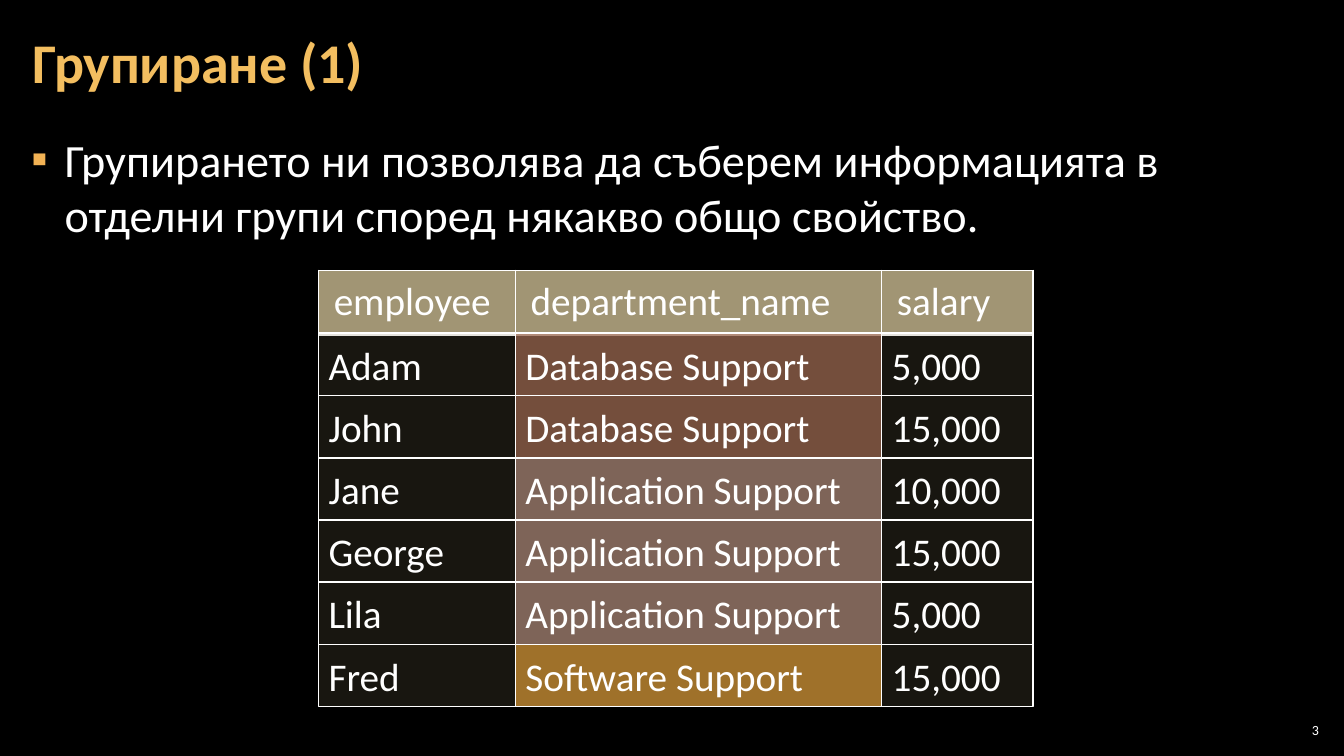
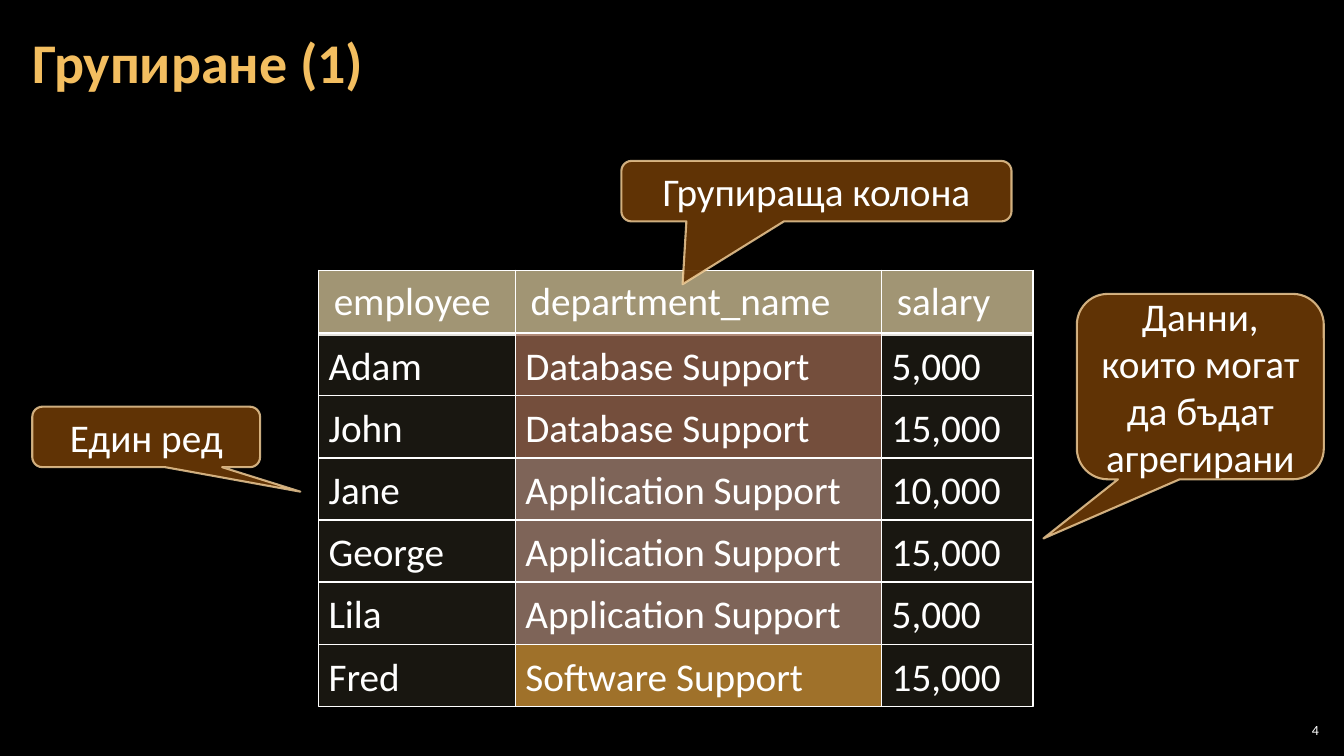
from lxml.etree import SubElement
from pptx import Presentation
from pptx.dml.color import RGBColor
from pptx.enum.shapes import MSO_SHAPE
from pptx.enum.text import MSO_ANCHOR, MSO_AUTO_SIZE, PP_ALIGN
from pptx.oxml import parse_xml
from pptx.oxml.ns import nsdecls, qn
from pptx.util import Inches, Pt

COLORS = {
    "back": "000000", "text": "FFFFFF", "title": "F3BE60", "bullet": "F2B254",
    "header": "A19574", "cell": "7C7154", "solid cell": "191711",
    "callout": "663606", "edge": "F8D49E",
    "Database": "A5644E", "Application": "B58B80", "Software": "F0A22E",
}
TITLE = "Групиране (1)"
BODY = "Групирането ни позволява да съберем информацията в отделни групи според някакво общо свойство."
HEADER = ("employee", "department_name", "salary")
ROWS = [
    ("Adam", "Database Support", "5,000"),
    ("John", "Database Support", "15,000"),
    ("Jane", "Application Support", "10,000"),
    ("George", "Application Support", "15,000"),
    ("Lila", "Application Support", "5,000"),
    ("Fred", "Software Support", "15,000"),
]
BANDS = [("Database", 0, 2), ("Application", 2, 3), ("Software", 5, 1)]
SOLID_ROWS = (1, 3, 4)
LEFT, TOP, HEAD, ROW = 23.71, 35.73, 8.27, 8.22
COLS = (14.65, 27.25, 11.25)
FIRST = 44.13
CALLOUTS = [
    ("Групираща колона", (46.23, 21.29, 29.03, 8), (-0.343, 1.539, 0.167)),
    ("Един ред", (2.4, 53.8, 16.95, 8), (0.677, 0.905, 0.167)),
    ("Данни, които могат да бъдат агрегирани", (80.12, 38.87, 18.38, 24.53), (-0.635, 0.819, 0.167)),
]

prs = Presentation()
prs.slide_width, prs.slide_height = Inches(13.33), Inches(7.5)
W, H = prs.slide_width / 100, prs.slide_height / 100
fill = prs.slide_master.background.fill
fill.solid()
fill.fore_color.rgb = RGBColor.from_string(COLORS["back"])


def area(x, y, w, h):
    return int(x * W), int(y * H), int(w * W), int(h * H)


def write(tf, text, size, color="text", bold=False, align=PP_ALIGN.LEFT, spacing=1.0, **frame):
    for name, value in {"word_wrap": True, **frame}.items():
        setattr(tf, name, value)
    p = tf.paragraphs[0]
    for name, value in {"alignment": align, "line_spacing": spacing, "space_before": Pt(0)}.items():
        setattr(p, name, value)
    r = p.add_run()
    r.text = text
    for name, value in {"name": "Calibri", "size": Pt(size), "bold": bold}.items():
        setattr(r.font, name, value)
    r.font.color.rgb = RGBColor.from_string(COLORS[color])
    return p


INSETS = {"margin_left": Inches(0.12), "margin_right": Inches(0.12),
          "margin_top": Inches(0.04), "margin_bottom": Inches(0.04),
          "auto_size": MSO_AUTO_SIZE.NONE}
CELL = {"margin_left": Inches(0.15), "margin_right": Inches(0.15),
        "margin_top": Inches(0.08), "margin_bottom": Inches(0.08)}
BORDERS = {"L": 1, "R": 1, "T": 1, "B": 3}

for number, layout in ((3, 1), (4, 5)):
    s = prs.slides.add_slide(prs.slide_layouts[layout])
    title = s.shapes.title
    title.left, title.top, title.width, title.height = area(1.55, 0.53, 96.85, 16.13)
    write(title.text_frame, TITLE, 40, "title", True, spacing=0.9,
          vertical_anchor=MSO_ANCHOR.MIDDLE, **INSETS)

    table = s.shapes.add_table(1, len(COLS), *area(LEFT, TOP, sum(COLS), HEAD)).table
    table.first_row = table.horz_banding = False
    for j, (text, share) in enumerate(zip(HEADER, COLS)):
        table.columns[j].width = int(share * W)
        cell = table.cell(0, j)
        for name, value in CELL.items():
            setattr(cell, name, value)
        write(cell.text_frame, text, 28)
        tcPr = cell._tc.get_or_add_tcPr()
        for side, width in BORDERS.items():
            tcPr.append(parse_xml(
                f'<a:ln{side} {nsdecls("a")} w="{Pt(width)}"><a:solidFill>'
                f'<a:srgbClr val="{COLORS["text"]}"/></a:solidFill></a:ln{side}>'))
        cell.fill.solid()
        cell.fill.fore_color.rgb = RGBColor.from_string(COLORS["header"])

    if layout == 1:
        body = s.placeholders[1]
        body.left, body.top, body.width, body.height = area(1.43, 16.8, 96.85, 81.2)
        p = write(body.text_frame, BODY, 33, vertical_anchor=MSO_ANCHOR.TOP, **INSETS)
        pPr = p._p.get_or_add_pPr()
        pPr.set("marL", str(Inches(0.33)))
        pPr.set("indent", str(-Inches(0.33)))
        SubElement(SubElement(pPr, qn("a:buClr")), qn("a:srgbClr")).set("val", COLORS["bullet"])
        SubElement(pPr, qn("a:buFont")).set("typeface", "Calibri")
        SubElement(pPr, qn("a:buChar")).set("char", "▪")

    blocks = [("", (LEFT + COLS[0], FIRST + start * ROW, COLS[1], count * ROW), (), color, 70, None)
              for color, start, count in BANDS]
    for j, share in enumerate(COLS):
        for i, row in enumerate(ROWS):
            solid = layout == 5 and i in SOLID_ROWS and j != 1
            place = (LEFT + sum(COLS[:j]), FIRST + i * ROW, share, ROW)
            blocks.append((row[j], place, (), "solid cell" if solid else "cell",
                           100 if solid else 20, "text"))
    if layout == 5:
        blocks += [(*callout, "callout", 95, "edge") for callout in CALLOUTS]

    for text, place, adjustments, color, opacity, edge in blocks:
        kind = MSO_SHAPE.ROUNDED_RECTANGULAR_CALLOUT if adjustments else MSO_SHAPE.RECTANGLE
        sp = s.shapes.add_shape(kind, *area(*place))
        for i, value in enumerate(adjustments):
            sp.adjustments[i] = round(value, 3)
        sp.shadow.inherit = False
        sp.fill.solid()
        sp.fill.fore_color.rgb = RGBColor.from_string(COLORS[color])
        if edge:
            sp.line.color.rgb = RGBColor.from_string(COLORS[edge])
            sp.line.width = Pt(1.5 if adjustments else 1)
        else:
            sp.line.fill.background()
        for clr, alpha in zip(sp.element.spPr.iter(qn("a:srgbClr")), (opacity, 80 if adjustments else 100)):
            if alpha < 100:
                SubElement(clr, qn("a:alpha")).set("val", str(alpha * 1000))
        if text:
            write(sp.text_frame, text, 28, vertical_anchor=MSO_ANCHOR.MIDDLE,
                  align=PP_ALIGN.CENTER if adjustments else PP_ALIGN.LEFT)

    sp = s.shapes.add_textbox(*area(94.9, 95.2, 3.53, 2.8))
    write(sp.text_frame, str(number), 10, align=PP_ALIGN.RIGHT,
          vertical_anchor=MSO_ANCHOR.MIDDLE, **{**INSETS, "margin_left": Inches(0.04),
                                                "margin_right": Inches(0.04)})

prs.save("out.pptx")
